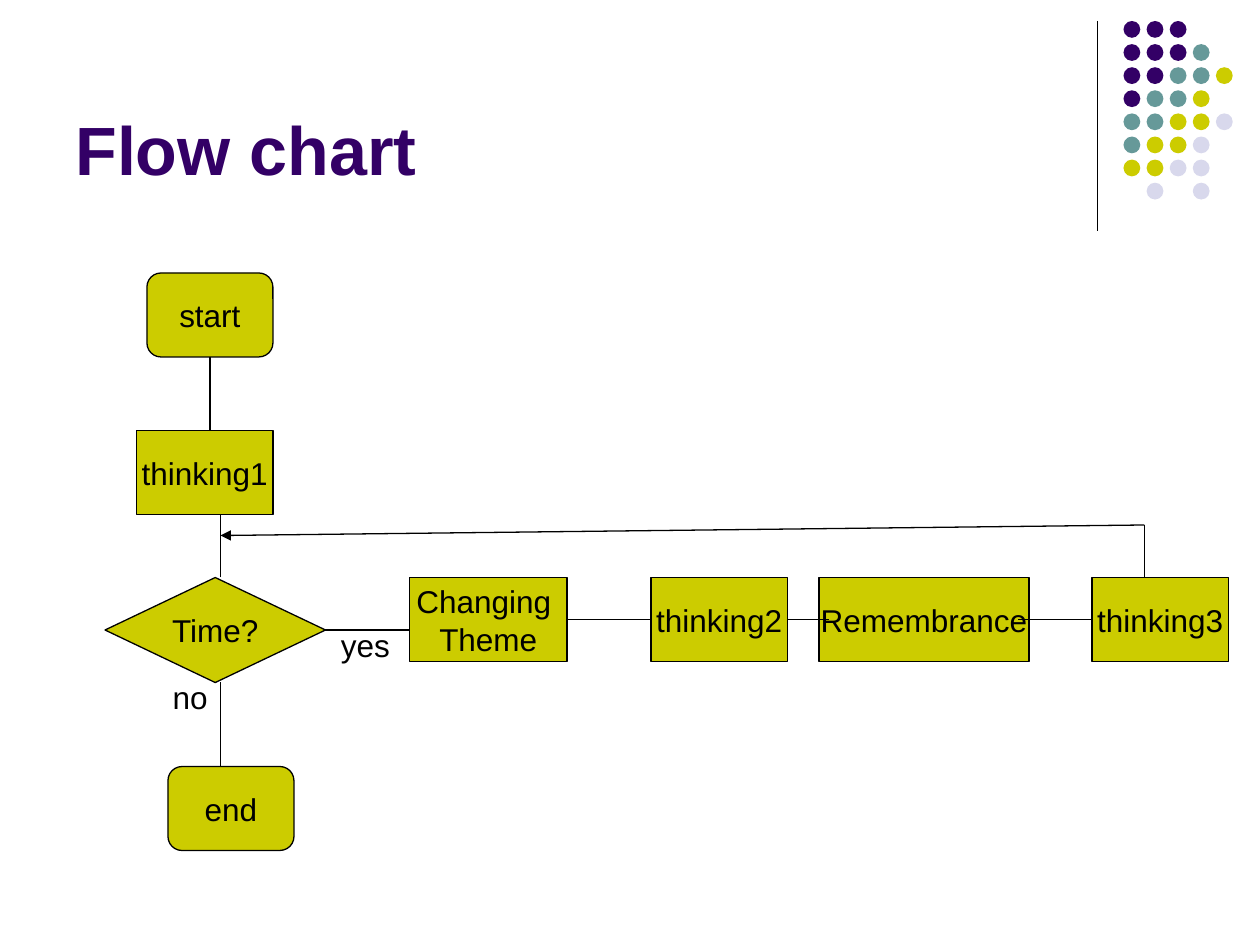
from lxml import etree
from pptx import Presentation
from pptx.dml.color import RGBColor
from pptx.enum.shapes import MSO_CONNECTOR, MSO_SHAPE
from pptx.enum.text import MSO_ANCHOR, PP_ALIGN
from pptx.oxml.ns import qn
from pptx.util import Pt

TERMINAL = MSO_SHAPE.FLOWCHART_ALTERNATE_PROCESS
PROCESS = MSO_SHAPE.FLOWCHART_PROCESS
DECISION = MSO_SHAPE.FLOWCHART_DECISION
OVAL = MSO_SHAPE.OVAL
STRAIGHT = MSO_CONNECTOR.STRAIGHT
TOP, MIDDLE, BOTTOM = MSO_ANCHOR.TOP, MSO_ANCHOR.MIDDLE, MSO_ANCHOR.BOTTOM
LEFT, CENTER = PP_ALIGN.LEFT, PP_ALIGN.CENTER

BLACK = RGBColor(0x00, 0x00, 0x00)
PURPLE = RGBColor(0x33, 0x00, 0x66)
TEAL = RGBColor(0x66, 0x99, 0x99)
OLIVE = RGBColor(0xCC, 0xCC, 0x00)
LAVENDER = RGBColor(0xD8, 0xD8, 0xEC)

FONT = "Arial"
LINE_WIDTH = 0.75

# Dot ornament: one letter per dot, a space where there is none
DOT_COLORS = {"P": PURPLE, "T": TEAL, "O": OLIVE, "L": LAVENDER}
DOT_ROWS = ["PPP", "PPPT", "PPTTO", "PTTO", "TTOOL", "TOOL", "OOLL", " L L"]
DOT_LEFT, DOT_TOP, DOT_PITCH, DOT_SIZE = 642, 12, 13.2, 9.6

# Flow chart steps: shape, left, top, width, height, lines of text
STEPS = [
    (TERMINAL, 84, 156, 72, 48, ["start"]),
    (PROCESS, 78, 246, 78, 48, ["thinking1"]),
    (DECISION, 60, 330, 126, 60, ["Time?"]),
    (TERMINAL, 96, 438, 72, 48, ["end"]),
    (PROCESS, 234, 330, 90, 48, ["Changing ", "Theme"]),
    (PROCESS, 372, 330, 78, 48, ["thinking2"]),
    (PROCESS, 468, 330, 120, 48, ["Remembrance"]),
    (PROCESS, 624, 330, 78, 48, ["thinking3"]),
]

# Plain links: start x, start y, end x, end y
LINKS = [
    (120, 204, 120, 246),
    (126, 330, 126, 294),
    (126, 390, 126, 414),
    (126, 414, 126, 438),
    (186, 360, 234, 360),
    (324, 354, 372, 354),
    (450, 354, 474, 354),
    (582, 354, 624, 354),
    (654, 330, 654, 300),
]
RETURN_LINK = (654, 300, 126, 306)

# Branch labels: left, top, width, height, text
LABELS = [
    (91.5, 384, 34.5, 29, "no"),
    (187.75, 354, 42.5, 29, "yes"),
]


def write_text(shape, lines, size=18, color=BLACK, bold=False,
               align=LEFT, anchor=TOP, wrap=False):
    frame = shape.text_frame
    frame.word_wrap = wrap
    frame.vertical_anchor = anchor
    for index, line in enumerate(lines):
        paragraph = frame.paragraphs[0] if index == 0 else frame.add_paragraph()
        paragraph.alignment = align
        run = paragraph.add_run()
        run.text = line
        run.font.name = FONT
        run.font.size = Pt(size)
        run.font.bold = bold
        run.font.color.rgb = color


def add_text(slide, left, top, width, height, text, **style):
    box = slide.shapes.add_textbox(Pt(left), Pt(top), Pt(width), Pt(height))
    write_text(box, [text], **style)


def add_filled_shape(shapes, kind, left, top, width, height, color):
    shape = shapes.add_shape(kind, Pt(left), Pt(top), Pt(width), Pt(height))
    shape.shadow.inherit = False
    shape.fill.solid()
    shape.fill.fore_color.rgb = color
    return shape


def add_step(slide, kind, left, top, width, height, lines):
    shape = add_filled_shape(slide.shapes, kind, left, top, width, height, OLIVE)
    shape.line.color.rgb = BLACK
    shape.line.width = Pt(LINE_WIDTH)
    write_text(shape, lines, align=CENTER, anchor=MIDDLE)


def add_line(slide, x1, y1, x2, y2, arrow=False):
    connector = slide.shapes.add_connector(STRAIGHT, Pt(x1), Pt(y1), Pt(x2), Pt(y2))
    connector.line.color.rgb = BLACK
    connector.line.width = Pt(LINE_WIDTH)
    properties = connector._element.spPr
    if arrow:
        line = properties.find(qn("a:ln"))
        etree.SubElement(line, qn("a:tailEnd"), type="triangle")
    etree.SubElement(properties, qn("a:effectLst"))


def add_dots(slide):
    group = slide.shapes.add_group_shape()
    for row, letters in enumerate(DOT_ROWS):
        for column, letter in enumerate(letters):
            if letter in DOT_COLORS:
                dot = add_filled_shape(
                    group.shapes, OVAL,
                    DOT_LEFT + column * DOT_PITCH, DOT_TOP + row * DOT_PITCH,
                    DOT_SIZE, DOT_SIZE, DOT_COLORS[letter])
                dot.line.fill.background()


def main():
    presentation = Presentation()
    presentation.slide_width = Pt(720)
    presentation.slide_height = Pt(540)
    slide = presentation.slides.add_slide(presentation.slide_layouts[6])

    # Corner ornament and title
    add_line(slide, 627, 12, 627, 132)
    add_dots(slide)
    add_text(slide, 36, 9.5, 594, 102, "Flow chart", size=39, color=PURPLE,
             bold=True, anchor=BOTTOM, wrap=True)

    # Flow chart
    for step in STEPS:
        add_step(slide, *step)
    for link in LINKS:
        add_line(slide, *link)
    add_line(slide, *RETURN_LINK, arrow=True)
    for label in LABELS:
        add_text(slide, *label)

    presentation.save("out.pptx")


if __name__ == "__main__":
    main()
